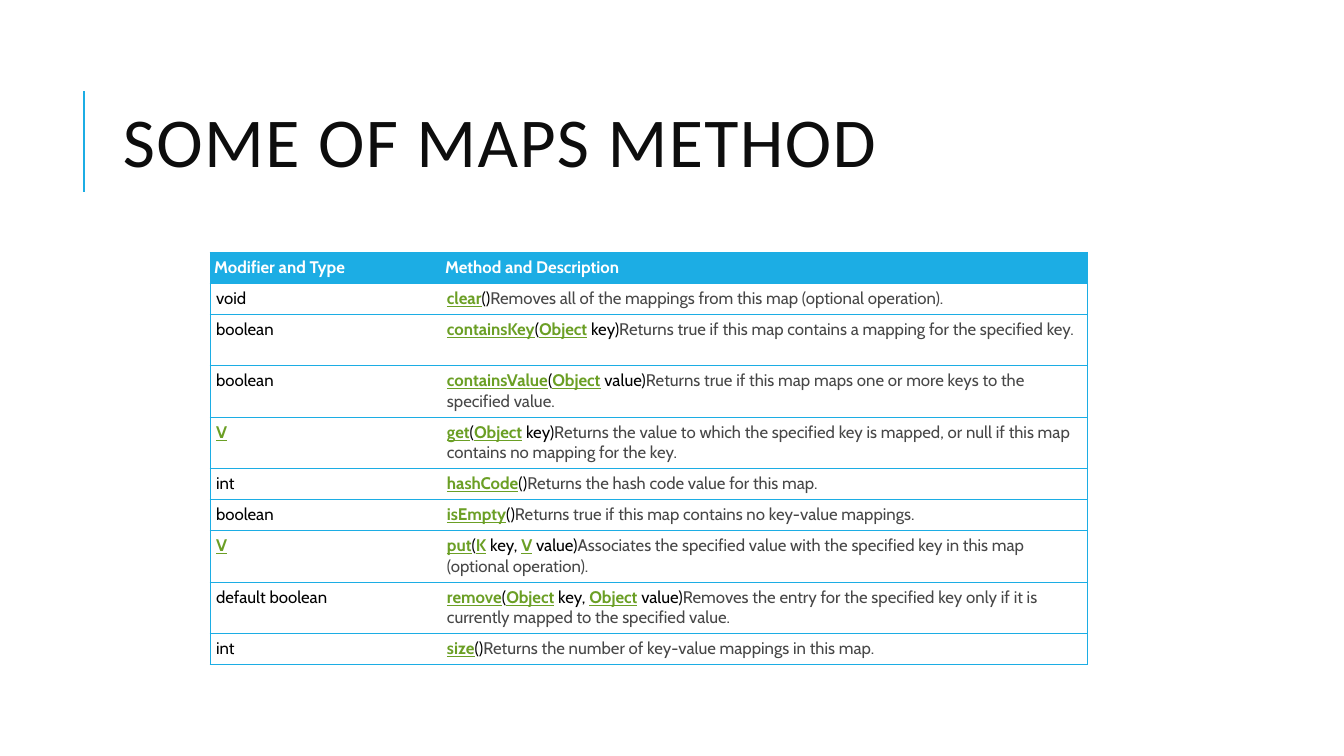
from lxml import etree
from pptx import Presentation
from pptx.dml.color import RGBColor
from pptx.enum.shapes import MSO_CONNECTOR
from pptx.enum.text import MSO_ANCHOR, MSO_AUTO_SIZE, PP_ALIGN
from pptx.oxml.ns import qn
from pptx.util import Pt

STRAIGHT = MSO_CONNECTOR.STRAIGHT
MIDDLE, TOP = MSO_ANCHOR.MIDDLE, MSO_ANCHOR.TOP
LEFT = PP_ALIGN.LEFT
NO_AUTOFIT = MSO_AUTO_SIZE.NONE

# Content: link text stands between asterisks
TITLE = "SOME OF MAPS METHOD"
HEADER = ("Modifier and Type", "Method and Description")
# Return type, signature, description, lines of row height
METHODS = [
    ("void", "*clear*()",
     "Removes all of the mappings from this map (optional operation).", 1),
    ("boolean", "*containsKey*(*Object* key)",
     "Returns true if this map contains a mapping for the specified key.", 2),
    ("boolean", "*containsValue*(*Object* value)",
     "Returns true if this map maps one or more keys to the specified value.", 2),
    ("*V*", "*get*(*Object* key)",
     "Returns the value to which the specified key is mapped, or null if this map "
     "contains no mapping for the key.", 2),
    ("int", "*hashCode*()", "Returns the hash code value for this map.", 1),
    ("boolean", "*isEmpty*()",
     "Returns true if this map contains no key-value mappings.", 1),
    ("*V*", "*put*(*K* key, *V* value)",
     "Associates the specified value with the specified key in this map "
     "(optional operation).", 2),
    ("default boolean", "*remove*(*Object* key, *Object* value)",
     "Removes the entry for the specified key only if it is currently mapped to "
     "the specified value.", 2),
    ("int", "*size*()", "Returns the number of key-value mappings in this map.", 1),
]

# Look
BLUE, GREEN, GREY = "1CADE4", "6B9F25", "474747"
BLACK, WHITE, TITLE_COLOR = "000000", "FFFFFF", "0D0D0D"
TABLE_LEFT, TABLE_TOP = 150, 180.2
COLUMN_WIDTHS = (165, 461.5)
ROW_HEIGHTS = {1: 22.1, 2: 36.8}
HEADER_MARGINS = (2.9, 3.6, 1.4, 1.4)
BODY_MARGINS = (4.3, 3.6, 4.3, 1.4)


def color(hex_string):
    return RGBColor.from_string(hex_string)


def add_text(paragraph, text, size=12, font="Cabin", fill=BLACK,
             bold=False, underline=False, spacing=None):
    run = paragraph.add_run()
    run.text = text
    run.font.size = Pt(size)
    run.font.name = font
    run.font.color.rgb = color(fill)
    run.font.bold = bold
    run.font.underline = underline
    if spacing is not None:
        run.font._element.set("spc", str(spacing * 100))


def add_linked_text(paragraph, text):
    for index, part in enumerate(text.split("*")):
        if part and index % 2:
            add_text(paragraph, part, fill=GREEN, bold=True, underline=True)
        elif part:
            add_text(paragraph, part)


def format_cell(cell, margins, fill, is_first_column):
    cell.margin_left, cell.margin_top, cell.margin_right, cell.margin_bottom = map(Pt, margins)
    cell.vertical_anchor = TOP
    # Blue outline and row rules, no line between the columns
    properties = cell._tc.get_or_add_tcPr()
    inner_side = "a:lnR" if is_first_column else "a:lnL"
    for side in ("a:lnL", "a:lnR", "a:lnT", "a:lnB"):
        line = etree.SubElement(properties, qn(side), w=str(Pt(0.75)))
        if side == inner_side:
            etree.SubElement(line, qn("a:noFill"))
        else:
            solid = etree.SubElement(line, qn("a:solidFill"))
            etree.SubElement(solid, qn("a:srgbClr"), val=BLUE)
    cell.fill.solid()
    cell.fill.fore_color.rgb = color(fill)


presentation = Presentation()
presentation.slide_width, presentation.slide_height = Pt(960), Pt(540)
slide = presentation.slides.add_slide(presentation.slide_layouts[5])

# Accent line beside the title
accent = slide.shapes.add_connector(STRAIGHT, Pt(60), Pt(137), Pt(60), Pt(65))
accent.line.color.rgb = color(BLUE)
accent.line.width = Pt(1.5)
etree.SubElement(accent._element.spPr, qn("a:effectLst"))

# Title
title = slide.shapes.title
title.left, title.top, title.width, title.height = Pt(80.6), Pt(46), Pt(765.4), Pt(118)
title_frame = title.text_frame
title_frame.auto_size = NO_AUTOFIT
title_frame.word_wrap = True
title_frame.vertical_anchor = MIDDLE
title_paragraph = title_frame.paragraphs[0]
title_paragraph.alignment = LEFT
title_paragraph.line_spacing = 0.8
add_text(title_paragraph, TITLE, size=50, font="Calibri", fill=TITLE_COLOR, spacing=1)

# Table grid
heights = [ROW_HEIGHTS[1]] + [ROW_HEIGHTS[method[3]] for method in METHODS]
table = slide.shapes.add_table(
    len(heights), len(COLUMN_WIDTHS), Pt(TABLE_LEFT), Pt(TABLE_TOP),
    Pt(sum(COLUMN_WIDTHS)), Pt(sum(heights))).table
table.horz_banding = False
for column, width in zip(table.columns, COLUMN_WIDTHS):
    column.width = Pt(width)
for row, height in zip(table.rows, heights):
    row.height = Pt(height)

# Header row
for index, label in enumerate(HEADER):
    cell = table.cell(0, index)
    format_cell(cell, HEADER_MARGINS, BLUE, index == 0)
    add_text(cell.text_frame.paragraphs[0], label, fill=WHITE, bold=True)

# Method rows
for row_index, (return_type, signature, description, _) in enumerate(METHODS, start=1):
    for index, text in enumerate((return_type, signature)):
        cell = table.cell(row_index, index)
        format_cell(cell, BODY_MARGINS, WHITE, index == 0)
        add_linked_text(cell.text_frame.paragraphs[0], text)
    add_text(cell.text_frame.paragraphs[0], description, fill=GREY)

presentation.save("out.pptx")
